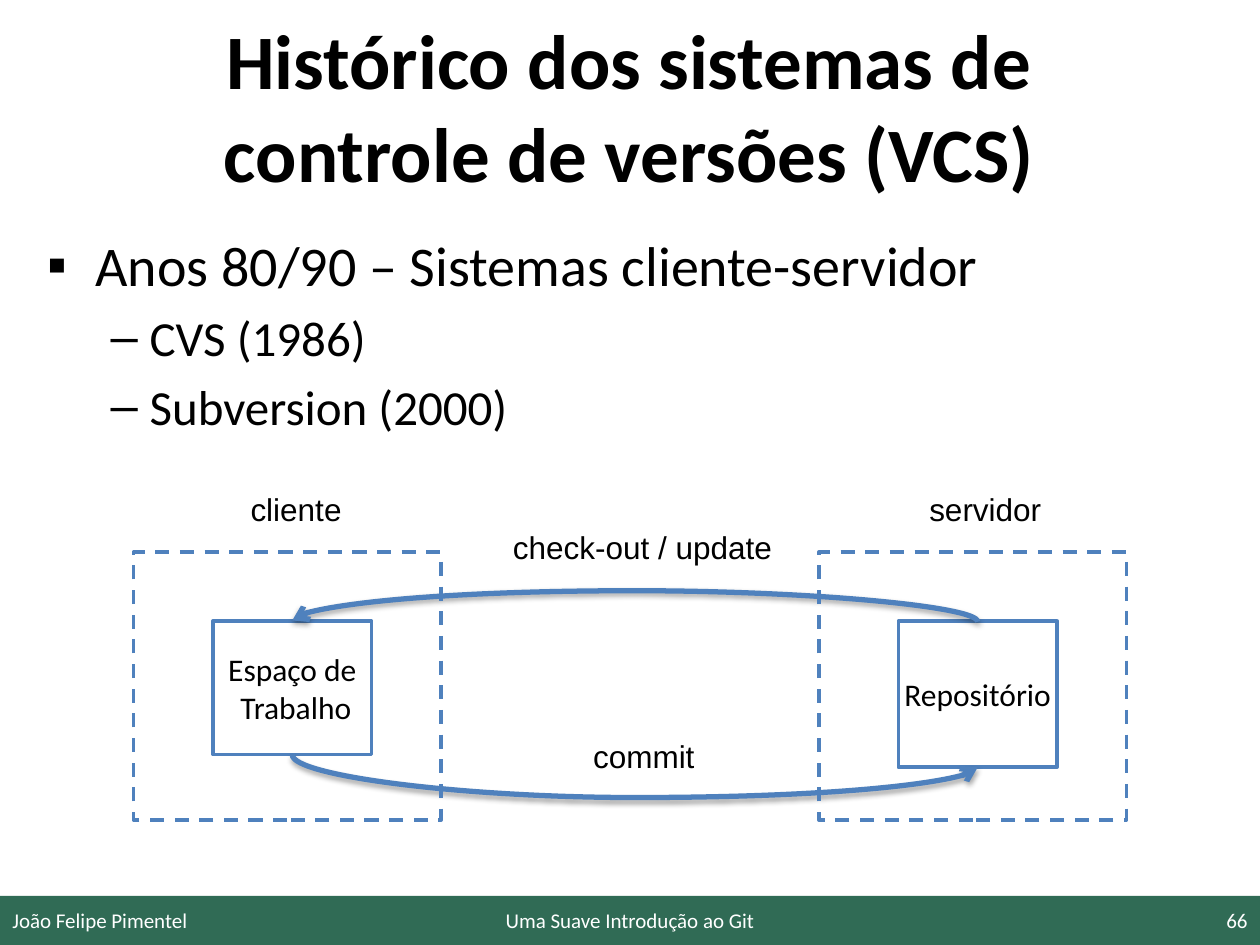
from dataclasses import dataclass

from lxml import etree
from pptx import Presentation
from pptx.dml.color import RGBColor
from pptx.enum.dml import MSO_LINE
from pptx.enum.shapes import MSO_CONNECTOR, MSO_SHAPE
from pptx.enum.text import MSO_ANCHOR, PP_ALIGN
from pptx.oxml.ns import qn
from pptx.util import Inches, Pt

RECT = MSO_SHAPE.RECTANGLE
CURVE = MSO_CONNECTOR.CURVE
DASH = MSO_LINE.DASH
TOP, MIDDLE = MSO_ANCHOR.TOP, MSO_ANCHOR.MIDDLE
LEFT, CENTER, RIGHT = PP_ALIGN.LEFT, PP_ALIGN.CENTER, PP_ALIGN.RIGHT
TOP_SITE, BOTTOM_SITE = 0, 2


@dataclass(frozen=True)
class Theme:
    black: RGBColor = RGBColor(0, 0, 0)
    white: RGBColor = RGBColor(255, 255, 255)
    green: RGBColor = RGBColor(0x30, 0x6B, 0x55)
    blue: RGBColor = RGBColor(0x4F, 0x81, 0xBD)
    font: str = "Calibri"
    label_font: str = "Arial"
    title: int = 44
    levels: tuple = (32, 28)
    diagram: int = 18
    footer: int = 12


THEME = Theme()


def write(p, text, size, font=THEME.font, color=THEME.black, bold=False, align=LEFT):
    p.text = text
    p.alignment = align
    for r in p.runs:
        r.font.size = Pt(size)
        r.font.name = font
        r.font.color.rgb = color
        r.font.bold = bold


def add_text(s, box, text, size, anchor=MIDDLE, wrap=True, **fmt):
    tf = s.shapes.add_textbox(*map(Inches, box)).text_frame
    tf.word_wrap = wrap
    tf.vertical_anchor = anchor
    write(tf.paragraphs[0], text, size, **fmt)
    return tf


def add_rect(s, box, fill=None, line=None, dash=None):
    sp = s.shapes.add_shape(RECT, *map(Inches, box))
    sp.shadow.inherit = False
    if fill is None:
        sp.fill.background()
    else:
        sp.fill.solid()
        sp.fill.fore_color.rgb = fill
    if line is None:
        sp.line.fill.background()
    else:
        sp.line.color.rgb = line
        sp.line.width = Pt(2)
        sp.line.dash_style = dash
    return sp


def add_bullet(p, char, indent, hanging):
    pPr = p._p.get_or_add_pPr()
    pPr.set("marL", str(Inches(indent)))
    pPr.set("indent", str(-Inches(hanging)))
    etree.SubElement(pPr, qn("a:buFont")).set("typeface", THEME.label_font)
    etree.SubElement(pPr, qn("a:buChar")).set("char", char)


def add_body(s, box, items):
    bullets = (("▪", 0.38, 0.38), ("–", 0.81, 0.31))
    tf = add_text(s, box, "", THEME.levels[0], anchor=TOP)
    for i, (level, text) in enumerate(items):
        p = tf.paragraphs[0] if i == 0 else tf.add_paragraph()
        size = THEME.levels[level]
        p.level = level
        add_bullet(p, *bullets[level])
        write(p, text, size)
        if i:
            p.space_before = Pt(size * 0.2)


def add_node(s, box, text):
    sp = add_rect(s, box, THEME.white, THEME.blue)
    tf = sp.text_frame
    tf.word_wrap = False
    tf.vertical_anchor = MIDDLE
    write(tf.paragraphs[0], text, THEME.diagram, align=CENTER)
    return sp


def add_curve(s, start, end, site, bulge, flip):
    x1, x2 = (sp.left + sp.width // 2 for sp in (start, end))
    y1, y2 = (sp.top + (sp.height if site == BOTTOM_SITE else 0) for sp in (start, end))
    depth = max(abs(y2 - y1), Inches(0.01))
    span = abs(x2 - x1)
    c = s.shapes.add_connector(CURVE, x1, y1, x2, y2)
    c.begin_connect(start, site)
    c.end_connect(end, site)
    c.left, c.top = (x1 + x2 - depth) // 2, (y1 + y2 - span) // 2
    c.width, c.height = depth, span
    c.line.color.rgb = THEME.blue
    c.line.width = Pt(3)

    spPr = c._element.spPr
    xfrm = spPr.find(qn("a:xfrm"))
    for name in ("flipH", "flipV"):
        xfrm.set(name, "1" if name == flip else "0")
    xfrm.set("rot", str(270 * 60000))
    guide = etree.SubElement(spPr.find(qn("a:prstGeom")).find(qn("a:avLst")), qn("a:gd"))
    guide.set("name", "adj1")
    guide.set("fmla", f"val {round(Inches(bulge) / depth * 100000)}")
    etree.SubElement(spPr.find(qn("a:ln")), qn("a:tailEnd")).set("type", "arrow")
    effects = etree.SubElement(spPr, qn("a:effectLst"))
    shadow = etree.SubElement(effects, qn("a:outerShdw"), blurRad=str(Pt(3.1)),
                              dist=str(Pt(1.8)), dir="5400000", rotWithShape="0")
    color = etree.SubElement(shadow, qn("a:srgbClr"), val="000000")
    etree.SubElement(color, qn("a:alpha"), val="35000")


def add_diagram(s, box):
    x, y, w, h = box
    side_w, node_w, node_y = 2.44, 1.26, y + 0.55
    server_x = x + w - side_w
    inset = 0.63
    repository = add_node(s, (server_x + inset, node_y, node_w, 1.16), "Repositório")
    workspace = add_node(s, (x + inset, node_y, node_w, 1.06), "Espaço de\n Trabalho")
    add_curve(s, workspace, repository, BOTTOM_SITE, 0.34, "flipH")
    add_curve(s, repository, workspace, TOP_SITE, 0.25, "flipV")
    for side_x in (x, server_x):
        add_rect(s, (side_x, y, side_w, h), line=THEME.blue, dash=DASH)
    labels = (
        ("cliente", x + 1.29, y - 0.34, 1.1),
        ("servidor", server_x + 1.32, y - 0.34, 1.3),
        ("check-out / update", x + 4.04, y - 0.04, 2.5),
        ("commit", x + 4.05, y + 1.62, 1.2),
    )
    for text, center_x, center_y, width in labels:
        add_text(s, (center_x - width / 2, center_y - 0.2, width, 0.4), text,
                 THEME.diagram, wrap=False, font=THEME.label_font, align=CENTER)


def add_footer(s, box, author, title, number):
    x, y, w, h = box
    add_rect(s, box, THEME.green)
    side_w, mid_w = 2.33, 3.17
    parts = (
        (author, x, side_w, LEFT),
        (title, x + (w - mid_w) / 2, mid_w, CENTER),
        (number, x + w - side_w, side_w, RIGHT),
    )
    for text, left, width, align in parts:
        add_text(s, (left, y, width, h), text, THEME.footer, color=THEME.white, align=align)


def main():
    prs = Presentation()
    prs.slide_width, prs.slide_height = Inches(10), Inches(7.5)
    s = prs.slides.add_slide(prs.slide_layouts[6])
    add_footer(s, (0, 7.11, 10, 0.39), "João Felipe Pimentel",
               "Uma Suave Introdução ao Git", "66")
    add_text(s, (1, 0.21, 7.99, 1.25), "Histórico dos sistemas de controle de versões (VCS)",
             THEME.title, bold=True, align=CENTER)
    add_body(s, (0.28, 1.78, 9.45, 5.04), (
        (0, "Anos 80/90 – Sistemas cliente-servidor"),
        (1, "CVS (1986)"),
        (1, "Subversion (2000)"),
    ))
    add_diagram(s, (1.06, 4.38, 7.88, 2.13))
    prs.save("out.pptx")


if __name__ == "__main__":
    main()
